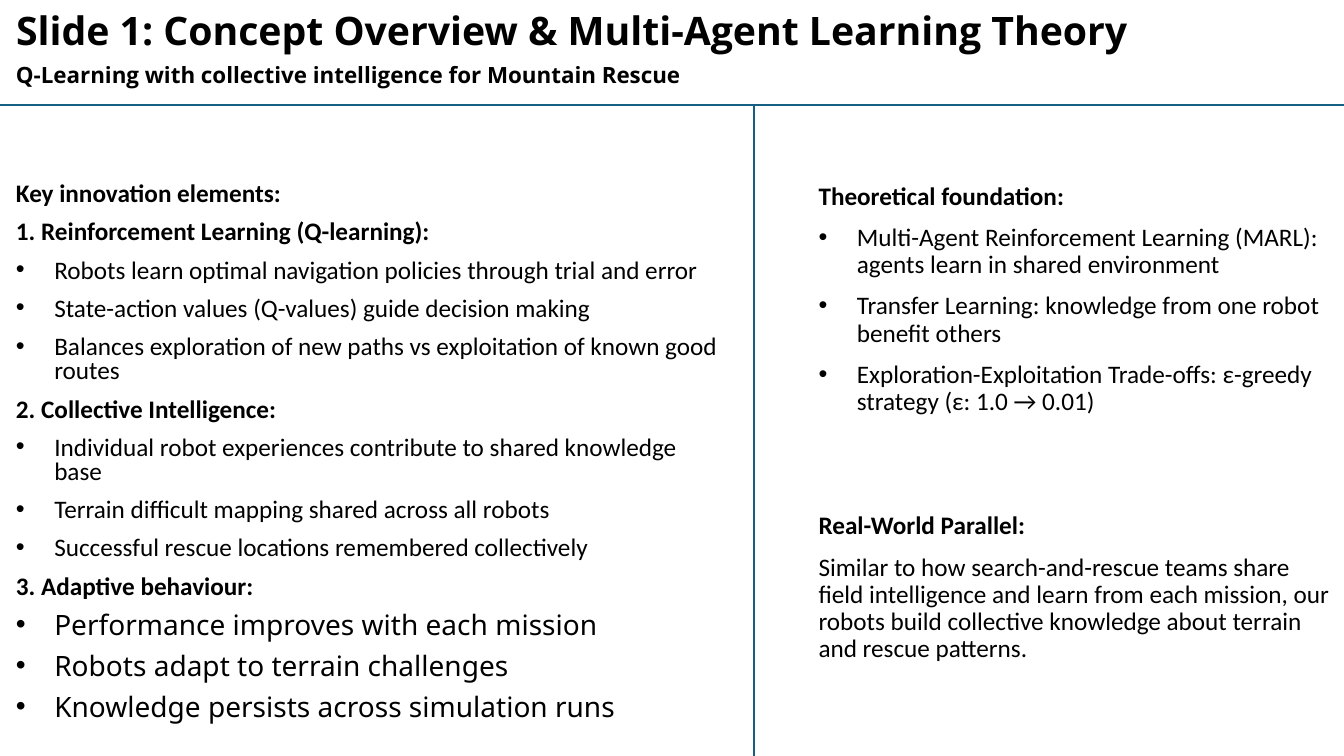
from lxml.etree import SubElement
from pptx import Presentation
from pptx.dml.color import RGBColor
from pptx.enum.shapes import MSO_CONNECTOR
from pptx.enum.text import MSO_ANCHOR, MSO_AUTO_SIZE, PP_ALIGN
from pptx.oxml.ns import qn
from pptx.util import Inches, Pt

COLORS = {"text": "000000", "rule": "156082"}
HEADING, BULLET, BIG_BULLET, BODY = "heading", "bullet", "big bullet", "body"

INNOVATIONS = [
    (HEADING, "Key innovation elements:"),
    (HEADING, "1. Reinforcement Learning (Q-learning):"),
    (BULLET, "Robots learn optimal navigation policies through trial and error"),
    (BULLET, "State-action values (Q-values) guide decision making"),
    (BULLET, "Balances exploration of new paths vs exploitation of known good routes"),
    (HEADING, "2. Collective Intelligence:"),
    (BULLET, "Individual robot experiences contribute to shared knowledge base"),
    (BULLET, "Terrain difficult mapping shared across all robots"),
    (BULLET, "Successful rescue locations remembered collectively"),
    (HEADING, "3. Adaptive behaviour:"),
    (BIG_BULLET, "Performance improves with each mission"),
    (BIG_BULLET, "Robots adapt to terrain challenges"),
    (BIG_BULLET, "Knowledge persists across simulation runs"),
]
FOUNDATION = [
    (HEADING, "Theoretical foundation:"),
    (BULLET, "Multi-Agent Reinforcement Learning (MARL): agents learn in shared environment"),
    (BULLET, "Transfer Learning: knowledge from one robot benefit others"),
    (BULLET, "Exploration-Exploitation Trade-offs: ε-greedy strategy (ε: 1.0 → 0.01)"),
]
PARALLEL = [
    (HEADING, "Real-World Parallel:"),
    (BODY, "Similar to how search-and-rescue teams share field intelligence and learn "
           "from each mission, our robots build collective knowledge about terrain "
           "and rescue patterns."),
]


def style_para(para, font, size, bold, line_spacing=0.9, space_before=10):
    """Set the spacing of a paragraph and the look of its runs."""
    para.alignment = PP_ALIGN.LEFT
    para.line_spacing = line_spacing
    para.space_before = Pt(space_before)
    for span in para.runs:
        span.font.name = font
        span.font.size = Pt(size)
        span.font.bold = bold
        span.font.color.rgb = RGBColor.from_string(COLORS["text"])


def add_bullet(para):
    """Give a paragraph a hanging round bullet."""
    props = para._p.get_or_add_pPr()
    props.set("marL", str(Inches(0.38)))
    props.set("indent", str(-Inches(0.38)))
    SubElement(props, qn("a:buFont")).set("typeface", "Arial")
    SubElement(props, qn("a:buChar")).set("char", "•")


def add_text_box(page, left, top, width, height):
    """Add an empty wrapping text box and return its frame."""
    box = page.shapes.add_textbox(Inches(left), Inches(top), Inches(width), Inches(height))
    box.text_frame.word_wrap = True
    return box.text_frame


def add_header(page, left, top, width, height):
    """Place the title and the subtitle directly below it."""
    title = page.shapes.title
    title.left, title.top = Inches(left), Inches(top)
    title.width, title.height = Inches(width), Inches(height)
    frame = title.text_frame
    frame.text = "Slide 1: Concept Overview & Multi-Agent Learning Theory"
    frame.auto_size = MSO_AUTO_SIZE.NONE
    frame.vertical_anchor = MSO_ANCHOR.BOTTOM
    style_para(frame.paragraphs[0], "Open Sans", 28, True, space_before=0)

    subtitle = add_text_box(page, left, top + height, 7.96, 0.46)
    subtitle.text = "Q-Learning with collective intelligence for Mountain Rescue"
    style_para(subtitle.paragraphs[0], "Open Sans", 16, True)


def add_section(page, left, top, width, height, items, line_spacing=0.9):
    """Fill a box with headings, bullets and body text."""
    frame = add_text_box(page, left, top, width, height)
    frame.text = "\n".join(text for kind, text in items)
    for para, (kind, text) in zip(frame.paragraphs, items):
        font, size = ("Noto Sans", 20) if kind == BIG_BULLET else ("Calibri", 18)
        style_para(para, font, size, kind == HEADING, line_spacing)
        if kind in (BULLET, BIG_BULLET):
            add_bullet(para)


def add_rule(page, x1, y1, x2, y2):
    """Draw one dividing line."""
    rule = page.shapes.add_connector(
        MSO_CONNECTOR.STRAIGHT, Inches(x1), Inches(y1), Inches(x2), Inches(y2))
    rule.line.color.rgb = RGBColor.from_string(COLORS["rule"])
    rule.line.width = Pt(1.5)
    SubElement(rule._element.spPr, qn("a:effectLst"))


def main():
    """Build the concept overview slide."""
    deck = Presentation()
    deck.slide_width, deck.slide_height = Inches(13.33), Inches(7.5)
    page = deck.slides.add_slide(deck.slide_layouts[5])
    add_header(page, 0.06, -0.13, 11.28, 0.72)
    add_section(page, 0.06, 1.77, 7.21, 5.6, INNOVATIONS, line_spacing=0.8)
    add_section(page, 8.02, 1.77, 5.32, 2.55, FOUNDATION)
    add_section(page, 8.02, 5.04, 5.32, 1.71, PARALLEL)
    add_rule(page, 0, 1.04, 13.33, 1.04)
    add_rule(page, 7.48, 1.04, 7.48, 7.5)
    deck.save("out.pptx")


if __name__ == "__main__":
    main()
